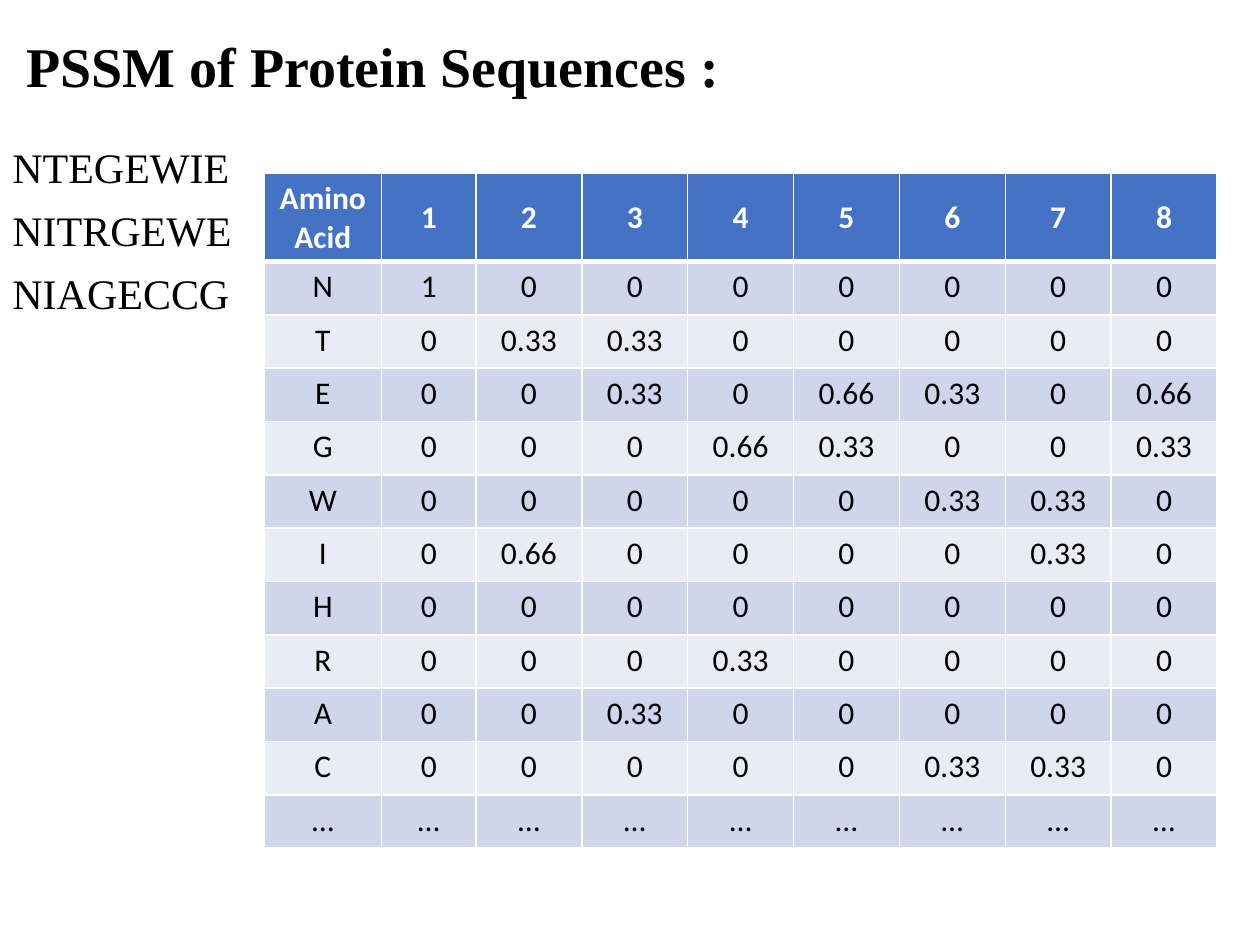
from dataclasses import dataclass

from lxml import etree
from pptx import Presentation
from pptx.dml.color import RGBColor
from pptx.enum.text import MSO_ANCHOR, PP_ALIGN
from pptx.oxml.ns import qn
from pptx.util import Emu, Pt

MIDDLE, TOP = MSO_ANCHOR.MIDDLE, MSO_ANCHOR.TOP
CENTER = PP_ALIGN.CENTER
PX_PER_INCH = 144
SCALE = 914400 // PX_PER_INCH
COLORS = {
    "text": "000000",
    "white": "FFFFFF",
    "header": "4472C4",
    "odd": "CFD5EA",
    "even": "E9EBF5",
}
COL_WIDTHS = [134, 108] + [121] * 7
ROW_HEIGHT = 61
POSITIONS = 8


@dataclass
class TextBlock:
    x: int
    y: int
    w: int
    h: int
    lines: list[str]
    size: int
    bold: bool = False
    anchor: MSO_ANCHOR = TOP
    gap: int = 0
    hanging: int = 0


@dataclass
class Residue:
    name: str
    scores: dict[int, str]
    default: str = "0"

    def cells(self) -> list[str]:
        positions = range(1, POSITIONS + 1)
        return [self.name] + [self.scores.get(i, self.default) for i in positions]


TITLE = TextBlock(16, 33, 1241, 92, ["PSSM of Protein Sequences :"], 32,
                  bold=True, anchor=MIDDLE)
SEQUENCES = TextBlock(0, 161, 285, 288, ["NTEGEWIE", "NITRGEWE", "NIAGECCG"], 24,
                      gap=10, hanging=36)
RESIDUES = [
    Residue("N", {1: "1"}),
    Residue("T", {2: "0.33", 3: "0.33"}),
    Residue("E", {3: "0.33", 5: "0.66", 6: "0.33", 8: "0.66"}),
    Residue("G", {4: "0.66", 5: "0.33", 8: "0.33"}),
    Residue("W", {6: "0.33", 7: "0.33"}),
    Residue("I", {2: "0.66", 7: "0.33"}),
    Residue("H", {}),
    Residue("R", {4: "0.33"}),
    Residue("A", {3: "0.33"}),
    Residue("C", {6: "0.33", 7: "0.33"}),
    Residue("…", {}, "…"),
]


def px(n: int) -> Emu:
    return Emu(n * SCALE)


def rgb(name: str) -> RGBColor:
    return RGBColor.from_string(COLORS[name])


def style(p, font: str, size: int, color: str, bold: bool) -> None:
    for r in p.runs:
        r.font.name = font
        r.font.size = Pt(size)
        r.font.bold = bold
        r.font.color.rgb = rgb(color)


def add_text(s, block: TextBlock) -> None:
    sp = s.shapes.add_textbox(px(block.x), px(block.y), px(block.w), px(block.h))
    tf = sp.text_frame
    tf.word_wrap = True
    tf.vertical_anchor = block.anchor
    tf.text = "\n".join(block.lines)
    for i, p in enumerate(tf.paragraphs):
        p.line_spacing = 0.9
        p.space_before = Pt(block.gap if i else 0)
        if block.hanging:
            pPr = p._p.get_or_add_pPr()
            pPr.set("marL", str(px(block.hanging)))
            pPr.set("indent", str(-px(block.hanging)))
        style(p, "Times New Roman", block.size, "text", block.bold)


def set_borders(cell, top: int, bottom: int) -> None:
    tcPr = cell._tc.get_or_add_tcPr()
    for side, width in (("L", 1), ("R", 1), ("T", top), ("B", bottom)):
        ln = etree.SubElement(tcPr, qn(f"a:ln{side}"), w=str(Pt(width)))
        fill = etree.SubElement(ln, qn("a:solidFill"))
        etree.SubElement(fill, qn("a:srgbClr"), val=COLORS["white"])


def add_matrix(s, x: int, y: int, rows: list[list[str]]) -> None:
    frame = s.shapes.add_table(len(rows), len(COL_WIDTHS), px(x), px(y),
                               px(sum(COL_WIDTHS)), px(ROW_HEIGHT * len(rows)))
    table = frame.table
    for column, width in zip(table.columns, COL_WIDTHS):
        column.width = px(width)
    for i, values in enumerate(rows):
        table.rows[i].height = px(ROW_HEIGHT)
        header = i == 0
        fill = "header" if header else "odd" if i % 2 else "even"
        for j, value in enumerate(values):
            cell = table.cell(i, j)
            set_borders(cell, 3 if i == 1 else 1, 3 if header else 1)
            cell.fill.solid()
            cell.fill.fore_color.rgb = rgb(fill)
            cell.vertical_anchor = MIDDLE if header else TOP
            cell.text_frame.text = value
            p = cell.text_frame.paragraphs[0]
            p.alignment = CENTER
            style(p, "Calibri", 18, "white" if header else "text", header)


def main() -> None:
    prs = Presentation()
    prs.slide_width, prs.slide_height = px(1440), px(1080)
    s = prs.slides.add_slide(prs.slide_layouts[6])
    add_text(s, TITLE)
    heading = ["Amino Acid"] + [str(i) for i in range(1, POSITIONS + 1)]
    add_matrix(s, 302, 198, [heading] + [residue.cells() for residue in RESIDUES])
    add_text(s, SEQUENCES)
    prs.save("out.pptx")


if __name__ == "__main__":
    main()
